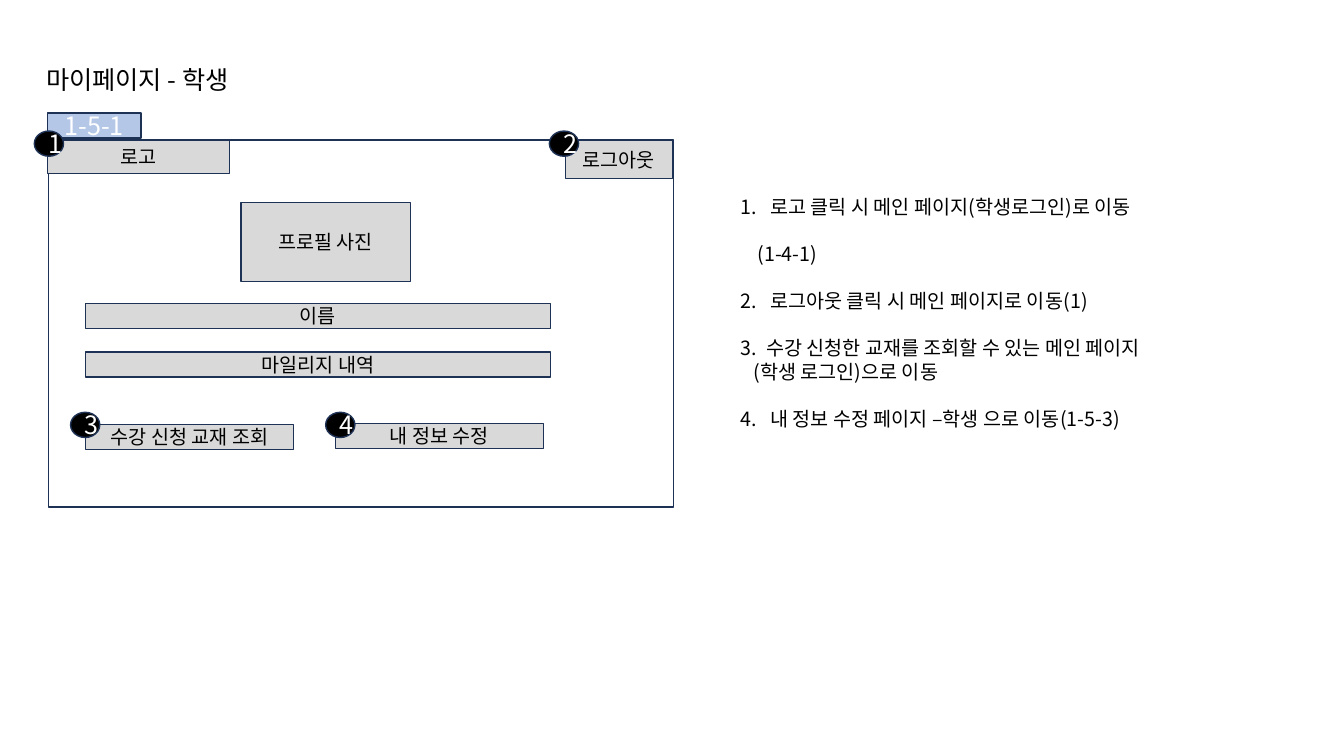
from lxml import etree
from pptx import Presentation
from pptx.dml.color import RGBColor
from pptx.enum.shapes import MSO_SHAPE
from pptx.enum.text import MSO_ANCHOR, MSO_AUTO_SIZE, PP_ALIGN
from pptx.oxml.ns import qn
from pptx.util import Pt

RECTANGLE, OVAL = MSO_SHAPE.RECTANGLE, MSO_SHAPE.OVAL
MIDDLE = MSO_ANCHOR.MIDDLE
FIT_SHAPE = MSO_AUTO_SIZE.SHAPE_TO_FIT_TEXT
LEFT, CENTER = PP_ALIGN.LEFT, PP_ALIGN.CENTER

BLACK = RGBColor(0x00, 0x00, 0x00)
WHITE = RGBColor(0xFF, 0xFF, 0xFF)
NAVY = RGBColor(0x1E, 0x32, 0x56)
GREY = RGBColor(0xD9, 0xD9, 0xD9)
BLUE = RGBColor(0xB4, 0xC7, 0xE7)


class Wireframe:
    font = "Noto Sans CJK KR"
    label_size, heading_size = 14, 18
    line_factor = 1.2

    def __init__(self, slide):
        self.shapes = slide.shapes

    def style(self, paragraph, size, color, align=LEFT):
        paragraph.alignment = align
        paragraph.line_spacing = Pt(size * self.line_factor)
        font = paragraph.font
        font.name, font.size = self.font, Pt(size)
        font.color.rgb = color
        east_asian = etree.SubElement(font._element, qn("a:ea"))
        east_asian.set("typeface", self.font)

    def block(self, kind, place, fill, label="", size=label_size, color=BLACK):
        block = self.shapes.add_shape(kind, *map(Pt, place))
        block.shadow.inherit = False
        block.fill.solid()
        block.fill.fore_color.rgb = fill
        block.line.color.rgb = NAVY
        block.line.width = Pt(1)
        if label:
            block.text_frame.vertical_anchor = MIDDLE
            paragraph = block.text_frame.paragraphs[0]
            paragraph.text = label
            self.style(paragraph, size, color, CENTER)

    def badge(self, number, left, top):
        self.block(OVAL, (left, top, 20.9, 18), BLACK, str(number),
                   self.heading_size, WHITE)

    def text(self, place, lines, size):
        frame = self.shapes.add_textbox(*map(Pt, place)).text_frame
        frame.word_wrap = True
        frame.auto_size = FIT_SHAPE
        for index, (line, margin, indent, gap) in enumerate(lines):
            paragraph = frame.add_paragraph() if index else frame.paragraphs[0]
            paragraph.text = line
            properties = paragraph._p.get_or_add_pPr()
            properties.set("marL", str(Pt(margin)))
            properties.set("indent", str(Pt(indent)))
            if gap:
                paragraph.space_before = Pt(gap)
            self.style(paragraph, size, BLACK)


def main():
    presentation = Presentation()
    presentation.slide_width, presentation.slide_height = Pt(960), Pt(540)
    page = Wireframe(presentation.slides.add_slide(presentation.slide_layouts[6]))

    page.block(RECTANGLE, (34.6, 100.1, 446.4, 262.1), WHITE)
    page.block(RECTANGLE, (33.8, 80.6, 67, 18), BLUE, "1-5-1",
               page.heading_size, WHITE)
    page.text((25.9, 42.5, 261.4, 28.8), [("마이페이지 - 학생", 0, 0, 0)],
              page.heading_size)

    for label, place in (
        ("로고", (33.8, 100.1, 130.3, 23.8)),
        ("로그아웃", (403.9, 100.1, 76.3, 27.4)),
        ("프로필 사진", (172.1, 144.7, 121, 56.2)),
        ("이름", (61.2, 216.7, 331.9, 18)),
        ("마일리지 내역", (61.2, 251.3, 331.9, 18)),
        ("수강 신청 교재 조회", (61.2, 303.1, 148.3, 18)),
        ("내 정보 수정", (239.8, 302.4, 148.3, 18)),
    ):
        page.block(RECTANGLE, place, GREY, label)

    badge_places = ((24.5, 93.6), (392.4, 93.6), (50.4, 294.5), (232.6, 294.5))
    for number, (left, top) in enumerate(badge_places, 1):
        page.badge(number, left, top)

    gap = page.label_size * page.line_factor
    page.text((519.1, 135.8, 355, 175.2), [
        ("1.\t로고 클릭 시 메인 페이지(학생로그인)로 이동", 24, -21, 0),
        ("(1-4-1)", 15, 0, gap),
        ("2.\t로그아웃 클릭 시 메인 페이지로 이동(1)", 24, -21, gap),
        ("3.\t수강 신청한 교재를 조회할 수 있는 메인 페이지", 21, -18, gap),
        ("(학생 로그인)으로 이동", 12, 0, 0),
        ("4.\t내 정보 수정 페이지 –학생 으로 이동(1-5-3)", 24, -21, gap),
    ], page.label_size)

    presentation.save("out.pptx")


if __name__ == "__main__":
    main()
